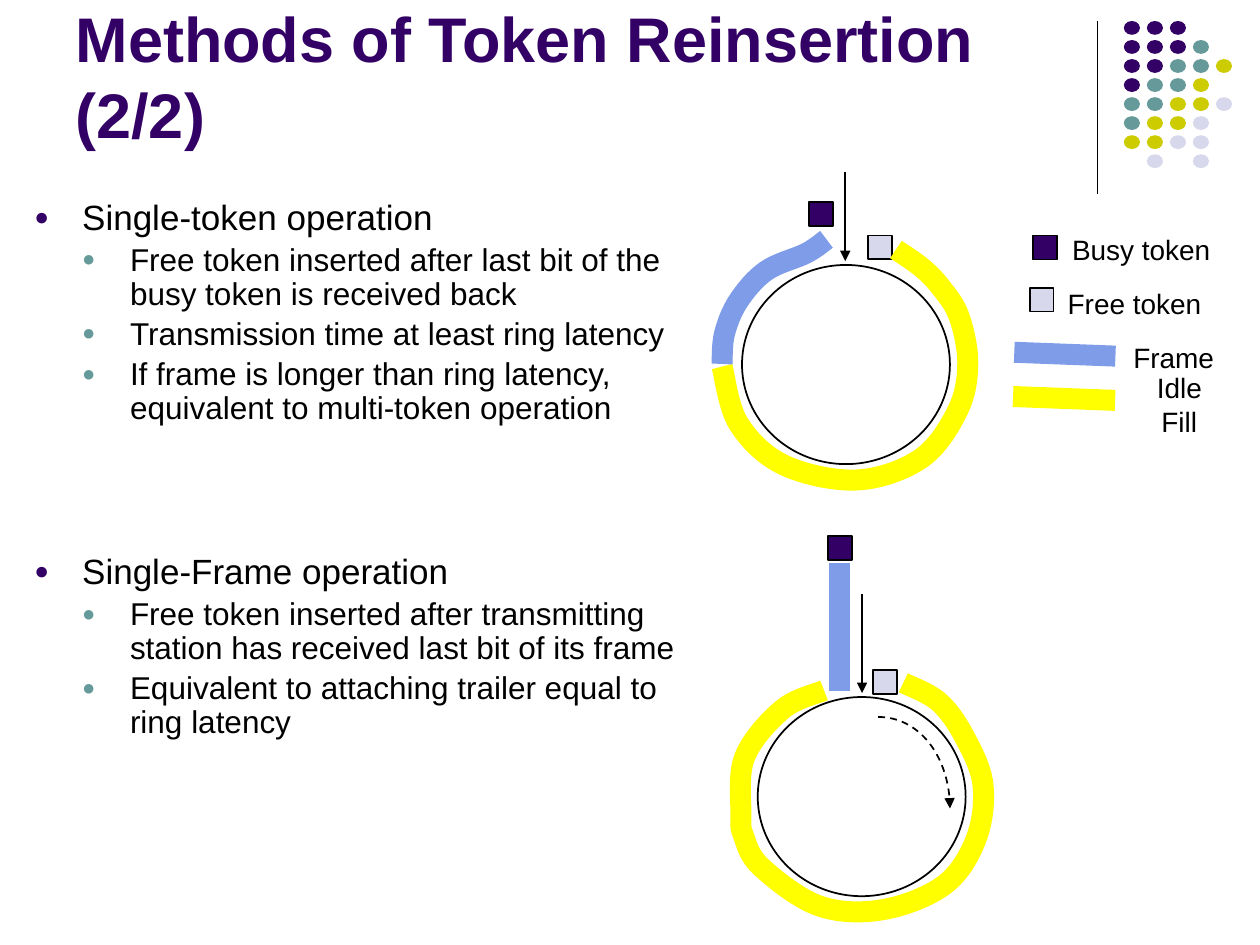
"""Build the slide on single-token and single-frame token reinsertion."""
from dataclasses import dataclass

from lxml import etree
from pptx import Presentation
from pptx.dml.color import RGBColor
from pptx.enum.dml import MSO_LINE
from pptx.enum.shapes import MSO_CONNECTOR, MSO_SHAPE
from pptx.enum.text import MSO_ANCHOR, MSO_AUTO_SIZE, PP_ALIGN
from pptx.oxml.ns import qn
from pptx.util import Pt

STRAIGHT = MSO_CONNECTOR.STRAIGHT
RECT, OVAL = MSO_SHAPE.RECTANGLE, MSO_SHAPE.OVAL
DASH = MSO_LINE.DASH
MIDDLE, BOTTOM = MSO_ANCHOR.MIDDLE, MSO_ANCHOR.BOTTOM
LEFT, CENTER = PP_ALIGN.LEFT, PP_ALIGN.CENTER
NO_FIT = MSO_AUTO_SIZE.NONE


@dataclass(frozen=True)
class Theme:
    """Colours, type sizes and line widths."""
    font: str = "Arial"
    ink: str = "000000"
    busy: str = "330066"
    teal: str = "669999"
    olive: str = "CCCC00"
    free: str = "D8D8EC"
    frame: str = "7E9CE8"
    idle: str = "FFFF00"
    title: float = 36
    body: tuple = (20, 18)
    label: float = 16
    thin: float = 1
    band: float = 12


T = Theme()
TITLE = "Methods of Token Reinsertion (2/2)"
BODY = [
    (0, 0, "Single-token operation"),
    (1, 3.5, "Free token inserted after last bit of the busy token is received back"),
    (1, 3.5, "Transmission time at least ring latency"),
    (1, 3.5, "If frame is longer than ring latency, equivalent to multi-token operation"),
    (0, 73.2, "Single-Frame operation"),
    (1, 3.5, "Free token inserted after transmitting station has received last bit of its frame"),
    (1, 3.5, "Equivalent to attaching trailer equal to ring latency"),
]
DOT_ROWS = ["BBB", "BBBT", "BBTTO", "BTTO", "TTOOF", "TOOF", "OOFF", " F F"]
DOT_COLORS = {"B": T.busy, "T": T.teal, "O": T.olive, "F": T.free}
LABELS = [
    ("Busy token", (605.3, 129.6, 93.6, 25.9), False),
    ("Free token", (602.9, 160.2, 90.7, 25.9), False),
    ("Frame", (640.4, 191.2, 60.5, 25.9), False),
    ("Idle Fill", (642.9, 218, 62, 25.9), True),
]
LEGEND_TOKENS = [(T.free, 588.4, 164.4), (T.busy, 590.4, 134.6)]
LEGEND_BANDS = [(T.frame, (579.6, 201.3, 637.4, 203.5)),
                (T.idle, (578.9, 226.6, 637.2, 228.8))]
RING_SIZE = (118.8, 113.8)
TOKEN = 13.7
RINGS = [
    {"at": (424, 151.4), "arrow": (483, 98.4, 483, 149.2),
     "tokens": [(T.busy, 462.3, 115.4), (T.free, 496.1, 134.5)],
     "curves": [
         (T.idle, [(512, 142.6), (526.3, 152.6), (537, 163.4), (548, 180.7),
                   (553, 208), (547.2, 234.7), (526.3, 262), (489.6, 274.3),
                   (447.8, 265.7), (422, 242), (412.6, 209.5)]),
         (T.frame, [(412.6, 208), (414, 190.8), (422, 172), (437.8, 154.8),
                    (460.8, 144.7), (472.3, 136.8)])]},
    {"at": (433, 398.3), "arrow": (492.6, 339.2, 492.6, 396),
     "tokens": [(T.busy, 473, 306.2), (T.free, 499, 383)],
     "rotation": [(501.8, 409.7), (524.2, 409.7), (542.9, 432.7), (542.9, 462)],
     "frame": (479.5, 321.6, 479.5, 395.1),
     "curves": [
         (T.idle, [(516.2, 390.2), (536.4, 401), (550.8, 420.5), (561.6, 447.8),
                   (558, 478.8), (540, 505.4), (504.7, 519.8), (468, 517.7),
                   (434.9, 495.4), (424.8, 477.4), (423.4, 465.8),
                   (425.5, 432.7), (447.1, 405.4), (470.9, 394.6)])]},
]


def rgb(color):
    """Turn a hex string into a colour."""
    return RGBColor.from_string(color)


def stroke(sp, color, width, arrow=False, dash=None):
    """Set the outline of a shape or connector."""
    sp.line.color.rgb = rgb(color)
    sp.line.width = Pt(width)
    if dash:
        sp.line.dash_style = dash
    if arrow:
        ln = sp.element.spPr.find(qn("a:ln"))
        etree.SubElement(ln, qn("a:tailEnd"), type="triangle")


def add_shape(shapes, kind, box, fill=None, line=T.ink):
    """Add a flat preset shape."""
    sp = shapes.add_shape(kind, *map(Pt, box))
    sp.shadow.inherit = False
    if fill:
        sp.fill.solid()
        sp.fill.fore_color.rgb = rgb(fill)
    else:
        sp.fill.background()
    if line:
        stroke(sp, line, T.thin)
    else:
        sp.line.fill.background()


def add_line(shapes, ends, color=T.ink, width=T.thin, arrow=False):
    """Add a straight connector without a shadow."""
    sp = shapes.add_connector(STRAIGHT, *map(Pt, ends))
    stroke(sp, color, width, arrow)
    etree.SubElement(sp.element.spPr, qn("a:effectLst"))


def spline(points):
    """Give the Bezier segments of a smooth curve through the points."""
    padded = [points[0], *points, points[-1]]
    for quad in zip(padded, padded[1:], padded[2:], padded[3:]):
        axes = [(b + (c - a) / 6, c - (d - b) / 6, c) for a, b, c, d in zip(*quad)]
        yield list(zip(*axes))


def add_curve(shapes, start, segments, color, width, **options):
    """Add an open curve made of cubic Bezier segments."""
    segments = list(segments)
    builder = shapes.build_freeform(*map(Pt, start))
    builder.add_line_segments([tuple(map(Pt, seg[-1])) for seg in segments], close=False)
    sp = builder.convert_to_shape()
    lines = list(sp.element.spPr.iter(qn("a:lnTo")))
    for node, seg in zip(lines, segments):
        node.tag = qn("a:cubicBezTo")
        node.remove(node[0])
        for x, y in seg:
            etree.SubElement(node, qn("a:pt"), x=str(int(Pt(x) - sp.left)),
                             y=str(int(Pt(y) - sp.top)))
    sp.shadow.inherit = False
    sp.fill.background()
    stroke(sp, color, width, **options)


def add_run(p, text, size, color=T.ink, bold=False):
    """Add one formatted run."""
    r = p.add_run()
    r.text = text
    r.font.name, r.font.size, r.font.bold = T.font, Pt(size), bold
    r.font.color.rgb = rgb(color)


def add_bullet(p, level):
    """Give a paragraph its hanging bullet."""
    p.level = level
    pPr = p._p.get_or_add_pPr()
    pPr.set("marL", str(Pt(27.36 * (level + 1))))
    pPr.set("indent", str(-Pt(27.36)))
    color = etree.SubElement(pPr, qn("a:buClr"))
    etree.SubElement(color, qn("a:srgbClr"), val=(T.busy, T.teal)[level])
    etree.SubElement(pPr, qn("a:buSzPct"), val="70000")
    etree.SubElement(pPr, qn("a:buFont"), typeface=T.font)
    etree.SubElement(pPr, qn("a:buChar"), char="●")


def add_text(s):
    """Fill the title, the bullet list and the legend labels."""
    sp = s.shapes.title
    sp.left, sp.top, sp.width, sp.height = map(Pt, (36, 9.4, 594, 80.6))
    tf = sp.text_frame
    tf.auto_size, tf.vertical_anchor, tf.word_wrap = NO_FIT, BOTTOM, True
    tf.paragraphs[0].alignment = LEFT
    add_run(tf.paragraphs[0], TITLE, T.title, T.busy, True)
    tf = s.shapes.add_textbox(*map(Pt, (12.5, 110.9, 387.4, 391))).text_frame
    tf.word_wrap = True
    for i, (level, before, text) in enumerate(BODY):
        p = tf.add_paragraph() if i else tf.paragraphs[0]
        p.line_spacing, p.space_before = 0.9, Pt(before)
        add_bullet(p, level)
        add_run(p, text, T.body[level])
    for text, box, wrap in LABELS:
        tf = s.shapes.add_textbox(*map(Pt, box)).text_frame
        tf.auto_size, tf.vertical_anchor, tf.word_wrap = NO_FIT, MIDDLE, wrap
        tf.paragraphs[0].alignment = CENTER
        add_run(tf.paragraphs[0], text, T.label)


def add_ring(shapes, ring):
    """Draw one ring with its tokens, arrows and bands."""
    add_shape(shapes, OVAL, (*ring["at"], *RING_SIZE))
    add_line(shapes, ring["arrow"], arrow=True)
    for color, x, y in ring["tokens"]:
        add_shape(shapes, RECT, (x, y, TOKEN, TOKEN), color)
    if "rotation" in ring:
        start, *segment = ring["rotation"]
        add_curve(shapes, start, [segment], T.ink, T.thin, arrow=True, dash=DASH)
    if "frame" in ring:
        add_line(shapes, ring["frame"], T.frame, T.band)
    for color, points in ring["curves"]:
        add_curve(shapes, points[0], spline(points), color, T.band)


def main():
    """Assemble and save the slide."""
    prs = Presentation()
    prs.slide_width, prs.slide_height = Pt(720), Pt(540)
    s = prs.slides.add_slide(prs.slide_layouts[5])
    add_line(s.shapes, (627.1, 12.2, 627.1, 110.9), width=0.75)
    dots = s.shapes.add_group_shape().shapes
    for row, keys in enumerate(DOT_ROWS):
        for col, key in enumerate(keys):
            if key in DOT_COLORS:
                box = (642.2 + 13.15 * col, 12 + 10.88 * row, 9.2, 7.9)
                add_shape(dots, OVAL, box, DOT_COLORS[key], None)
    add_text(s)
    for color, x, y in LEGEND_TOKENS:
        add_shape(s.shapes, RECT, (x, y, TOKEN, TOKEN), color)
    for color, ends in LEGEND_BANDS:
        add_line(s.shapes, ends, color, T.band)
    for ring in RINGS:
        add_ring(s.shapes.add_group_shape().shapes, ring)
    prs.save("out.pptx")


if __name__ == "__main__":
    main()
